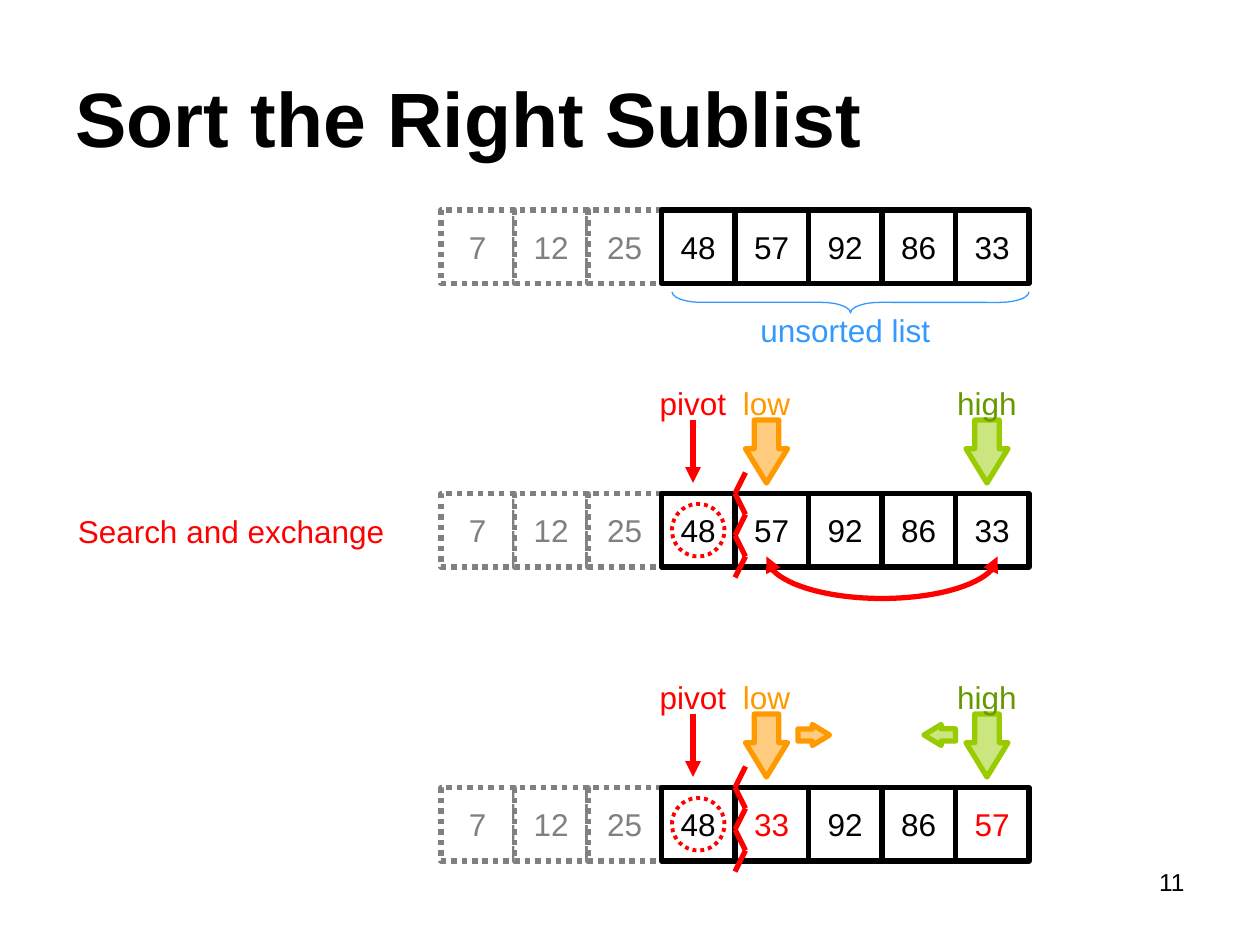
from math import cos, pi, sin

from lxml.etree import SubElement
from pptx import Presentation
from pptx.dml.color import RGBColor
from pptx.enum.dml import MSO_LINE
from pptx.enum.shapes import MSO_CONNECTOR, MSO_SHAPE
from pptx.enum.text import MSO_ANCHOR, PP_ALIGN
from pptx.oxml.ns import qn
from pptx.util import Pt

PX = 7620
COLORS = {
    "black": "000000", "white": "FFFFFF", "gray": "808080", "red": "FF0000",
    "blue": "3399FF", "orange": "FF9900", "lime": "99CC00", "green": "669900",
}
CELL = 70
LEFT = 420
SORTED_COUNT = 3
ROWS = [
    (200, [7, 12, 25, 48, 57, 92, 86, 33], []),
    (470, [7, 12, 25, 48, 57, 92, 86, 33], []),
    (750, [7, 12, 25, 48, 33, 92, 86, 57], [4, 7]),
]


def write(box, text, color, size=18, align=PP_ALIGN.CENTER, wrap=True, bold=False):
    frame = box.text_frame
    frame.text = text
    frame.word_wrap = wrap
    para = frame.paragraphs[0]
    para.alignment = align
    for span in para.runs:
        span.font.name = "Arial"
        span.font.size = Pt(size)
        span.font.bold = bold
        span.font.color.rgb = RGBColor.from_string(COLORS[color])


def outline(shape, color, width=3, dash=None, heads=()):
    shape.line.color.rgb = RGBColor.from_string(COLORS[color])
    shape.line.width = Pt(width)
    if dash:
        shape.line.dash_style = dash
    for end in heads:
        SubElement(shape.line._get_or_add_ln(), qn(f"a:{end}"), type="triangle")
    if not shape._element.spPr.findall(qn("a:effectLst")):
        SubElement(shape._element.spPr, qn("a:effectLst"))


deck = Presentation()
deck.slide_width = 1200 * PX
deck.slide_height = 900 * PX
page = deck.slides.add_slide(deck.slide_layouts[6])
shapes = page.shapes

title = shapes.add_textbox(60 * PX, 36 * PX, 1080 * PX, 150 * PX)
write(title, "Sort the Right Sublist", "black", 44, PP_ALIGN.LEFT, bold=True)
title.text_frame.vertical_anchor = MSO_ANCHOR.MIDDLE

number = shapes.add_textbox(860 * PX, 820 * PX, 280 * PX, 62 * PX)
write(number, "11", "black", 14, PP_ALIGN.RIGHT)

for top, values, exchanged in ROWS:
    for index, value in enumerate(values):
        cell = shapes.add_shape(MSO_SHAPE.RECTANGLE, (LEFT + index * CELL) * PX, top * PX, CELL * PX, CELL * PX)
        cell.fill.solid()
        cell.fill.fore_color.rgb = RGBColor.from_string(COLORS["white"])
        is_sorted = index < SORTED_COUNT
        color = "gray" if is_sorted else "black"
        outline(cell, color, dash=MSO_LINE.ROUND_DOT if is_sorted else None)
        write(cell, str(value), "red" if index in exchanged else color, wrap=False)
        cell.text_frame.vertical_anchor = MSO_ANCHOR.MIDDLE

brace = shapes.add_shape(MSO_SHAPE.RIGHT_BRACE, 800 * PX, 118 * PX, 20 * PX, 340 * PX)
brace.rotation = 90
brace.adjustments[0] = 1.417
brace.adjustments[1] = 0.5
brace.fill.background()
outline(brace, "blue", 0.75)

labels = [("Search and exchange", 30, 482, 380, "red"), ("unsorted list", 700, 290, 210, "blue")]
arrows = []
for top, values, exchanged in ROWS[1:]:
    labels += [
        ("pivot", 590, top - 110, 140, "red"),
        ("low", 690, top - 110, 80, "orange"),
        ("high", 890, top - 110, 100, "green"),
    ]
    arrows += [(700, top - 60, 60, 40, 270, "orange"), (910, top - 60, 60, 40, 270, "lime")]
    if exchanged:
        arrows += [(760, top - 60, 30, 20, 180, "orange"), (880, top - 60, 30, 20, 0, "lime")]

    divider = shapes.add_group_shape()
    for step in range(5):
        start, end = (710, 700) if step % 2 == 0 else (700, 710)
        y = top - 20 + step * 20
        stroke = divider.shapes.add_connector(MSO_CONNECTOR.STRAIGHT, start * PX, y * PX, end * PX, (y + 20) * PX)
        outline(stroke, "red")

    ring = shapes.add_shape(MSO_SHAPE.OVAL, 640 * PX, (top + 10) * PX, 50 * PX, 50 * PX)
    ring.fill.background()
    outline(ring, "red", 2.25, MSO_LINE.ROUND_DOT)

    pointer = shapes.add_connector(MSO_CONNECTOR.STRAIGHT, 660 * PX, (top - 10) * PX, 660 * PX, (top - 70) * PX)
    outline(pointer, "red", heads=["headEnd"])

for x, y, width, height, rotation, color in arrows:
    arrow = shapes.add_shape(MSO_SHAPE.LEFT_ARROW, x * PX, y * PX, width * PX, height * PX)
    arrow.rotation = rotation
    arrow.adjustments[0] = 0.583
    arrow.adjustments[1] = 0.818
    arrow.fill.solid()
    arrow.fill.fore_color.rgb = RGBColor.from_string(COLORS[color])
    fill_color = arrow._element.spPr.find(qn("a:solidFill")).find(qn("a:srgbClr"))
    SubElement(fill_color, qn("a:alpha"), val="50000")
    outline(arrow, color)

for text, x, y, width, color in labels:
    label = shapes.add_textbox(x * PX, y * PX, width * PX, 48 * PX)
    write(label, text, color)

arc = [
    (round((840 - 110 * cos(pi * step / 40)) * PX), round((530 + 40 * sin(pi * step / 40)) * PX))
    for step in range(41)
]
builder = shapes.build_freeform(*arc[0])
builder.add_line_segments(arc[1:], close=False)
exchange = builder.convert_to_shape()
exchange.fill.background()
outline(exchange, "red", heads=["headEnd", "tailEnd"])

deck.save("out.pptx")
